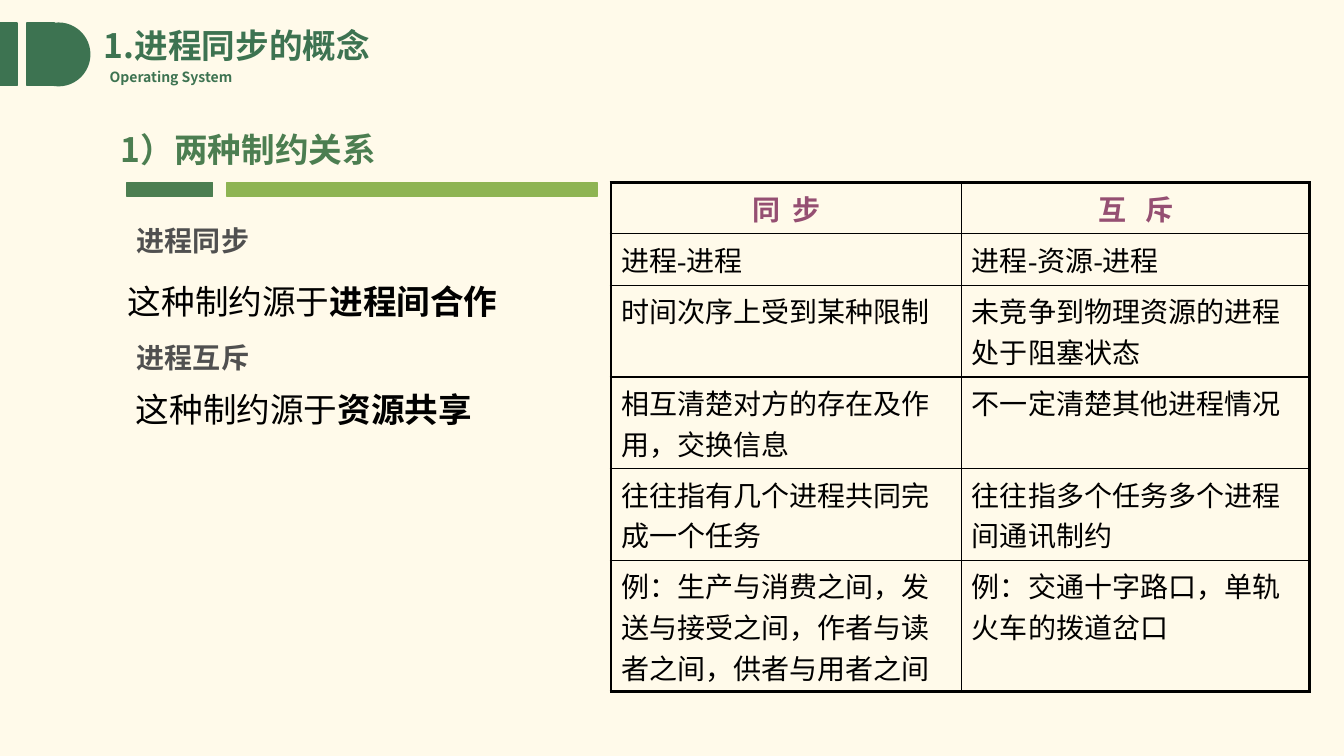
"""Build the slide on the two process constraint relations."""
from lxml import etree
from pptx import Presentation
from pptx.dml.color import RGBColor
from pptx.enum.shapes import MSO_SHAPE
from pptx.enum.text import MSO_ANCHOR, PP_ALIGN
from pptx.oxml.ns import qn
from pptx.util import Inches, Pt

RECT, OVAL = MSO_SHAPE.RECTANGLE, MSO_SHAPE.OVAL
LEFT, CENTER, MIDDLE = PP_ALIGN.LEFT, PP_ALIGN.CENTER, MSO_ANCHOR.MIDDLE
SANS, BODY, SERIF = "Noto Sans CJK SC", "Calibri", "Times New Roman"
COLORS = {
    "background": "FFFAEA", "brand": "3D7351", "heading": "4C7E51",
    "lime": "8EB453", "label": "505050", "text": "000000", "plum": "954F72",
}
HEADERS = [("同 步", 225), ("互 斥", 450)]
ROWS = [
    ("进程-进程", "进程-资源-进程"),
    ("时间次序上受到某种限制", "未竞争到物理资源的进程处于阻塞状态"),
    ("相互清楚对方的存在及作用，交换信息", "不一定清楚其他进程情况"),
    ("往往指有几个进程共同完成一个任务", "往往指多个任务多个进程间通讯制约"),
    ("例：生产与消费之间，发送与接受之间，作者与读者之间，供者与用者之间",
     "例：交通十字路口，单轨火车的拨道岔口"),
]
COL_WIDTHS = [3.48, 3.45]
ROW_HEIGHTS = [0.51, 0.51, 0.91, 0.91, 0.91, 1.3]


def rgb(name):
    """Return the named colour."""
    return RGBColor.from_string(COLORS[name])


def set_font(font, size, face, color, bold=None):
    """Format a font, with the sans face for Chinese characters."""
    font.size, font.name, font.bold = Pt(size), face, bold
    font.color.rgb = rgb(color)
    ea = etree.Element(qn("a:ea"), typeface=SANS)
    font._element.find(qn("a:latin")).addnext(ea)


def add_block(s, shape, left, top, width, height, color):
    """Add a plain coloured shape."""
    sp = s.shapes.add_shape(shape, Inches(left), Inches(top),
                            Inches(width), Inches(height))
    sp.shadow.inherit = False
    sp.fill.solid()
    sp.fill.fore_color.rgb = rgb(color)
    sp.line.color.rgb = rgb(color)
    sp.line.width = Pt(1)


def add_text(s, left, top, width, height, parts, size, face, color, bold=None, wrap=True):
    """Add a one-paragraph text box from (text, bold) parts."""
    sp = s.shapes.add_textbox(Inches(left), Inches(top), Inches(width), Inches(height))
    tf = sp.text_frame
    tf.word_wrap = wrap
    p = tf.paragraphs[0]
    set_font(p.font, size, face, color, bold)
    for text, strong in parts:
        r = p.add_run()
        r.text = text
        r.font.bold = strong


def add_title(s, text):
    """Place and format the title placeholder."""
    sp = s.shapes.title
    sp.left, sp.top = Inches(0.93), Inches(0.22)
    sp.width, sp.height = Inches(4.34), Inches(0.5)
    tf = sp.text_frame
    tf.vertical_anchor = MIDDLE
    tf.text = text
    p = tf.paragraphs[0]
    p.alignment, p.line_spacing = LEFT, 0.9
    set_font(p.font, 24, SANS, "brand", True)


def set_borders(cell, widths):
    """Draw the left, right, top and bottom cell borders."""
    tc_pr = cell._tc.get_or_add_tcPr()
    for side, width in zip("LRTB", widths):
        ln = etree.SubElement(tc_pr, qn(f"a:ln{side}"), w=str(Pt(width)))
        fill = etree.SubElement(ln, qn("a:solidFill"))
        etree.SubElement(fill, qn("a:srgbClr"), val=COLORS["text"])


def fill_cell(cell, text, header, spacing=0):
    """Write and format a cell."""
    cell.fill.background()
    p = cell.text_frame.paragraphs[0]
    r = p.add_run()
    r.text = text
    if header:
        p.alignment = CENTER
        set_font(p.font, 20, SANS, "plum", True)
        r.font._element.set("spc", str(spacing))
    else:
        set_font(p.font, 20, SERIF, "text", False)


def add_comparison(s):
    """Add the table comparing synchronisation and mutual exclusion."""
    rows, cols = len(ROW_HEIGHTS), len(COL_WIDTHS)
    table = s.shapes.add_table(rows, cols, Inches(6.06), Inches(1.81),
                               Inches(sum(COL_WIDTHS)), Inches(sum(ROW_HEIGHTS))).table
    table.first_row = table.horz_banding = False
    for column, width in zip(table.columns, COL_WIDTHS):
        column.width = Inches(width)
    for i, height in enumerate(ROW_HEIGHTS):
        table.rows[i].height = Inches(height)
        for j in range(cols):
            cell = table.cell(i, j)
            outer = (j == 0, j == cols - 1, i == 0, i == rows - 1)
            set_borders(cell, [2.25 if edge else 1 for edge in outer])
            if i == 0:
                fill_cell(cell, HEADERS[j][0], True, HEADERS[j][1])
            else:
                fill_cell(cell, ROWS[i - 1][j], False)


def main():
    """Build and save the slide."""
    prs = Presentation()
    prs.slide_width, prs.slide_height = Inches(13.33), Inches(7.5)
    s = prs.slides.add_slide(prs.slide_layouts[5])
    s.background.fill.solid()
    s.background.fill.fore_color.rgb = rgb("background")

    add_block(s, RECT, 0, 0.23, 0.17, 0.62, "brand")
    add_block(s, RECT, 0.27, 0.23, 0.27, 0.62, "brand")
    add_block(s, OVAL, 0.27, 0.23, 0.62, 0.62, "brand")
    add_title(s, "1.进程同步的概念")
    add_text(s, 0.99, 0.63, 1.47, 0.27, [("Operating System", None)],
             10, SANS, "brand", True, wrap=False)

    add_text(s, 1.1, 1.23, 3.22, 0.5, [("1）两种制约关系", None)],
             24, SANS, "heading", True)
    add_block(s, RECT, 1.26, 1.81, 0.85, 0.14, "heading")
    add_block(s, RECT, 2.25, 1.81, 3.67, 0.14, "lime")

    for label, top in [("进程同步", 2.17), ("进程互斥", 3.33)]:
        add_text(s, 1.26, top, 2.1, 0.44, [(label, None)], 20, SANS, "label", True)
    for source, left, top in [("进程间合作", 1.17, 2.74), ("资源共享", 1.25, 3.81)]:
        add_text(s, left, top, 4.75, 0.5, [("这种制约源于", False), (source, True)],
                 24, BODY, "text")
    add_comparison(s)
    prs.save("out.pptx")


if __name__ == "__main__":
    main()
